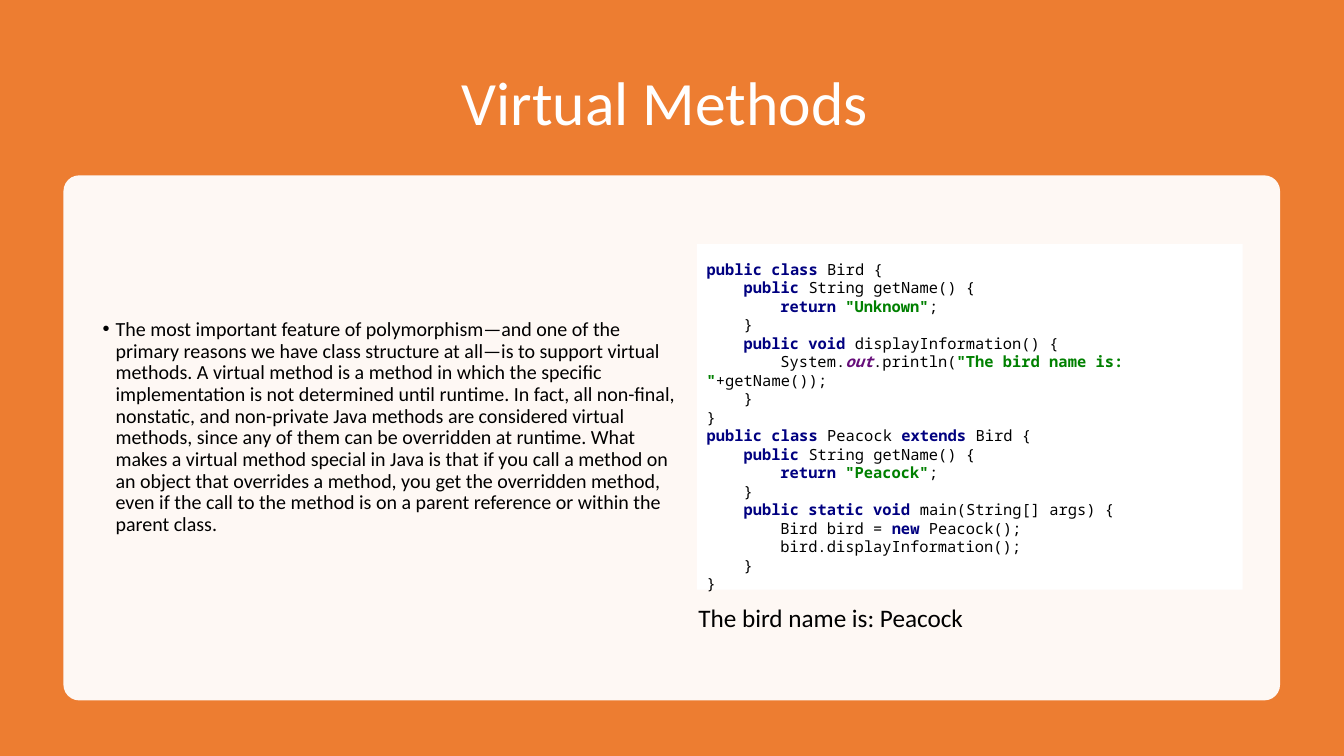
from dataclasses import dataclass

from lxml import etree
from pptx import Presentation
from pptx.dml.color import RGBColor
from pptx.enum.shapes import MSO_SHAPE
from pptx.enum.text import MSO_ANCHOR, MSO_AUTO_SIZE, PP_ALIGN
from pptx.oxml.ns import qn
from pptx.util import Cm, Pt

RECT, ROUND = MSO_SHAPE.RECTANGLE, MSO_SHAPE.ROUNDED_RECTANGLE
TOP, MIDDLE = MSO_ANCHOR.TOP, MSO_ANCHOR.MIDDLE
LEFT, CENTER = PP_ALIGN.LEFT, PP_ALIGN.CENTER
FIXED = MSO_AUTO_SIZE.NONE

TITLE = "Virtual Methods "
BODY = (
    "The most important feature of polymorphism—and one of the primary reasons "
    "we have class structure at all—is to support virtual methods. A virtual "
    "method is a method in which the specific implementation is not determined "
    "until runtime. In fact, all non-final, nonstatic, and non-private Java "
    "methods are considered virtual methods, since any of them can be overridden "
    "at runtime. What makes a virtual method special in Java is that if you call "
    "a method on an object that overrides a method, you get the overridden "
    "method, even if the call to the method is on a parent reference or within "
    "the parent class."
)
RESULT = "The bird name is: Peacock"

CODE = [
    (0, ("key", "public class "), ("plain", "Bird {")),
    (1, ("key", "public "), ("plain", "String getName() {")),
    (2, ("key", "return "), ("text", '"Unknown"'), ("plain", ";")),
    (1, ("plain", "}")),
    (1, ("key", "public void "), ("plain", "displayInformation() {")),
    (2, ("plain", "System."), ("field", "out"), ("plain", ".println("),
     ("text", '"The bird name is: "'), ("plain", "+getName());")),
    (1, ("plain", "}")),
    (0, ("plain", "}")),
    (0, ("key", "public class "), ("plain", "Peacock "),
     ("key", "extends "), ("plain", "Bird {")),
    (1, ("key", "public "), ("plain", "String getName() {")),
    (2, ("key", "return "), ("text", '"Peacock"'), ("plain", ";")),
    (1, ("plain", "}")),
    (1, ("key", "public static void "), ("plain", "main(String[] args) {")),
    (2, ("plain", "Bird bird = "), ("key", "new "), ("plain", "Peacock();")),
    (2, ("plain", "bird.displayInformation();")),
    (1, ("plain", "}")),
    (0, ("plain", "}")),
]


@dataclass(frozen=True)
class Theme:
    back: str = "ED7D31"
    white: str = "FFFFFF"
    black: str = "000000"
    key: str = "000080"
    text: str = "008000"
    field: str = "660E7A"
    plain: str = "000000"
    sans: str = "Calibri"
    mono: str = "Noto Sans Mono"
    title: float = 44
    body: float = 14.3
    code: float = 11
    result: float = 18


THEME = Theme()
WIDE, HIGH = Cm(33.87), Cm(19.05)
TAB = Cm(0.93)


def place(shape, left, top, width, height):
    shape.left, shape.top = Cm(left), Cm(top)
    shape.width, shape.height = Cm(width), Cm(height)


def panel(slide, kind, box, color):
    shape = slide.shapes.add_shape(kind, *box)
    shape.shadow.inherit = False
    shape.fill.solid()
    shape.fill.fore_color.rgb = RGBColor.from_string(color)
    shape.line.fill.background()
    return shape


def style(font, face, size, color):
    font.name, font.size = face, Pt(size)
    font.color.rgb = RGBColor.from_string(color)


def write(shape, text, size, color, align, anchor, spacing):
    frame = shape.text_frame
    frame.text = text
    frame.word_wrap, frame.auto_size = True, FIXED
    frame.vertical_anchor = anchor
    para = frame.paragraphs[0]
    para.alignment, para.line_spacing = align, spacing
    para.space_before = Pt(0)
    style(para.font, THEME.sans, size, color)
    return para


def indent(para, margin, first):
    props = para._p.get_or_add_pPr()
    props.set("marL", str(margin))
    props.set("indent", str(first))


def listing(shape):
    frame = shape.text_frame
    frame.word_wrap, frame.vertical_anchor = True, TOP
    frame.margin_top, frame.margin_bottom = Cm(0.4), 0
    for row, (level, *parts) in enumerate(CODE):
        para = frame.add_paragraph() if row else frame.paragraphs[0]
        para.alignment = LEFT
        indent(para, 0, level * TAB)
        para.font.name, para.font.size = THEME.mono, Pt(THEME.code)
        for role, text in parts:
            run = para.add_run()
            run.text = text
            run.font.color.rgb = RGBColor.from_string(getattr(THEME, role))
            run.font.bold = role != "plain"
            run.font.italic = role == "field"


def main():
    deck = Presentation()
    deck.slide_width, deck.slide_height = WIDE, HIGH
    slide = deck.slides.add_slide(deck.slide_layouts[1])
    title, body = slide.placeholders

    back = panel(slide, RECT, (0, 0, WIDE, HIGH), THEME.back)
    card_box = Cm(1.6), Cm(4.42), Cm(30.66), Cm(13.23)
    card = panel(slide, ROUND, card_box, THEME.white)
    card.adjustments[0] = 0.03
    tint = card.fill._xPr.find(qn("a:solidFill"))[0]
    etree.SubElement(tint, qn("a:alpha")).set("val", "95000")
    tree = slide.shapes.element
    tree.insert(2, back.element)
    tree.insert(4, card.element)

    place(title, 2.33, 1.27, 29.21, 2.8)
    write(title, TITLE, THEME.title, THEME.white, CENTER, MIDDLE, 0.9)
    place(body, 2.33, 7.92, 15.04, 6.22)
    para = write(body, BODY, THEME.body, THEME.black, LEFT, TOP, 0.9)
    indent(para, Cm(0.33), Cm(-0.33))

    code_box = Cm(17.56), Cm(6.15), Cm(13.76), Cm(8.71)
    listing(panel(slide, RECT, code_box, THEME.white))
    result = slide.shapes.add_textbox(Cm(17.35), Cm(15.06), Cm(16.5), Cm(1.02))
    write(result, RESULT, THEME.result, THEME.black, LEFT, TOP, 1.0)

    deck.save("out.pptx")


if __name__ == "__main__":
    main()
